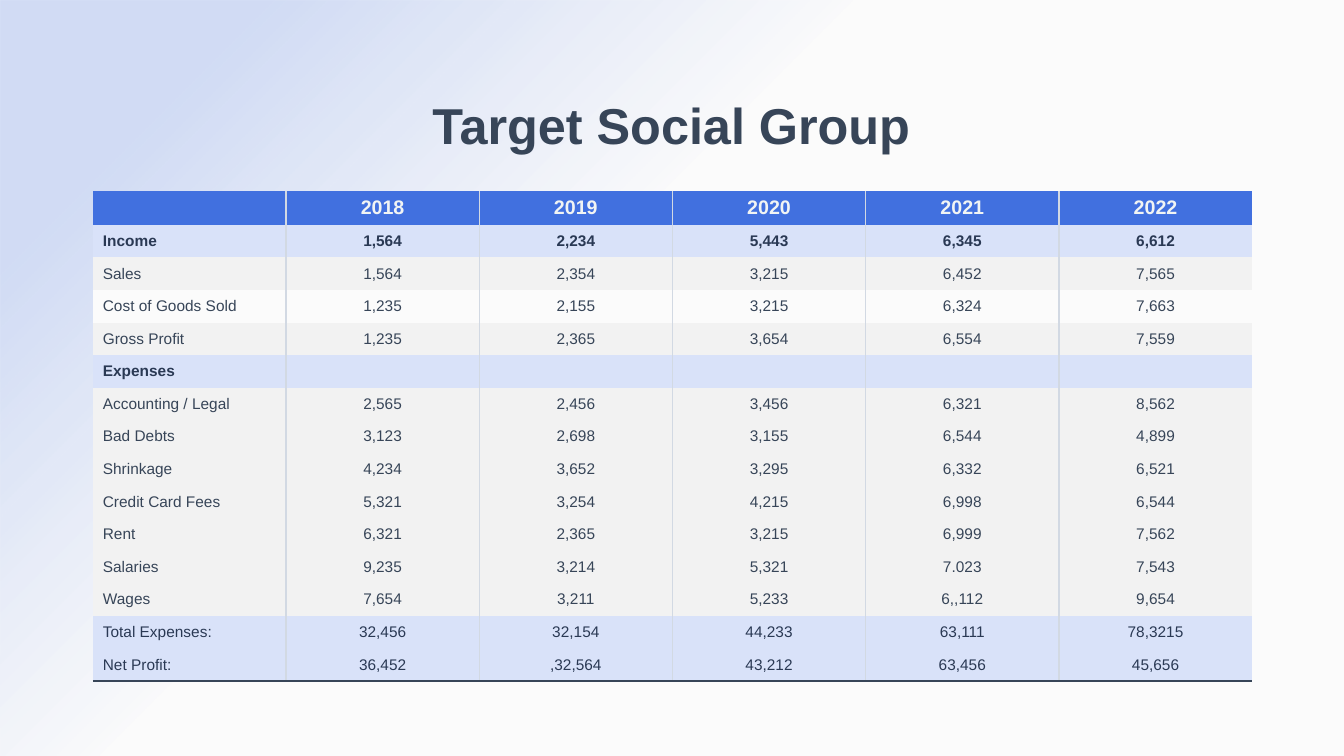
from lxml.etree import SubElement
from pptx import Presentation
from pptx.dml.color import RGBColor
from pptx.enum.shapes import MSO_SHAPE
from pptx.enum.text import MSO_ANCHOR, PP_ALIGN
from pptx.oxml.ns import qn
from pptx.util import Inches, Pt

SLIDE_WIDTH, SLIDE_HEIGHT = 13.33, 7.5
BLUE, PALE_BLUE, GREY, PAPER = "4170DF", "D9E2F9", "F2F2F2", "FBFBFB"
SLATE, NAVY, HEADER_TEXT, RULE = "374558", "2A3954", "F1F4F4", "D2D9E3"

YEARS = ["", "2018", "2019", "2020", "2021", "2022"]
HEADER = (BLUE, HEADER_TEXT, True, 14)
SECTION = (PALE_BLUE, NAVY, True, 11)
DETAIL = (GREY, SLATE, False, 11)
PLAIN = (PAPER, SLATE, False, 11)
TOTAL = (PALE_BLUE, NAVY, False, 11)
ROWS = [
    (HEADER, YEARS),
    (SECTION, ["Income", "1,564", "2,234", "5,443", "6,345", "6,612"]),
    (DETAIL, ["Sales", "1,564", "2,354", "3,215", "6,452", "7,565"]),
    (PLAIN, ["Cost of Goods Sold", "1,235", "2,155", "3,215", "6,324", "7,663"]),
    (DETAIL, ["Gross Profit", "1,235", "2,365", "3,654", "6,554", "7,559"]),
    (SECTION, ["Expenses", "", "", "", "", ""]),
    (DETAIL, ["Accounting / Legal", "2,565", "2,456", "3,456", "6,321", "8,562"]),
    (DETAIL, ["Bad Debts", "3,123", "2,698", "3,155", "6,544", "4,899"]),
    (DETAIL, ["Shrinkage", "4,234", "3,652", "3,295", "6,332", "6,521"]),
    (DETAIL, ["Credit Card Fees", "5,321", "3,254", "4,215", "6,998", "6,544"]),
    (DETAIL, ["Rent", "6,321", "2,365", "3,215", "6,999", "7,562"]),
    (DETAIL, ["Salaries", "9,235", "3,214", "5,321", "7.023", "7,543"]),
    (DETAIL, ["Wages", "7,654", "3,211", "5,233", "6,,112", "9,654"]),
    (TOTAL, ["Total Expenses:", "32,456", "32,154", "44,233", "63,111", "78,3215"]),
    (TOTAL, ["Net Profit:", "36,452", ",32,564", "43,212", "63,456", "45,656"]),
]


def color(hex_value):
    return RGBColor.from_string(hex_value)


def across(share):
    return Inches(SLIDE_WIDTH * share)


def down(share):
    return Inches(SLIDE_HEIGHT * share)


class StyledPage:
    """Holds the font and the current slide; lengths are shares of the slide."""

    def __init__(self, deck, font):
        self.font = font
        self.page = deck.slides.add_slide(deck.slide_layouts[5])

    def background(self, base, tint, stops):
        """Lay a diagonal tint over the base; stops are (position, opacity)."""
        fill = self.page.background.fill
        fill.solid()
        fill.fore_color.rgb = color(base)
        shapes = self.page.shapes
        veil = shapes.add_shape(MSO_SHAPE.RECTANGLE, 0, 0, across(1), down(1))
        veil.shadow.inherit = False
        veil.line.fill.background()
        veil.fill.gradient()
        veil.fill.gradient_angle = 315
        for stop, (position, opacity) in zip(veil.fill.gradient_stops, stops):
            stop.position = position
            stop.color.rgb = color(tint)
            tint_element = stop._gs.find(qn("a:srgbClr"))
            SubElement(tint_element, qn("a:alpha"), val=str(int(opacity * 100000)))
        shapes._spTree.insert(2, veil._element)

    def style(self, paragraph, size, text_color, bold, align):
        paragraph.alignment = align
        for span in paragraph.runs:
            span.font.name = self.font
            span.font.size = Pt(size)
            span.font.bold = bold
            span.font.color.rgb = color(text_color)

    def title(self, text, left, top, width, height):
        box = self.page.shapes.title
        box.left, box.top = across(left), down(top)
        box.width, box.height = across(width), down(height)
        frame = box.text_frame
        frame.text = text
        frame.vertical_anchor = MSO_ANCHOR.MIDDLE
        self.style(frame.paragraphs[0], 36, SLATE, True, PP_ALIGN.CENTER)

    def borders(self, cell, edges):
        """Draw the edges that have a colour and clear the others."""
        properties = cell._tc.get_or_add_tcPr()
        for edge in ("lnL", "lnR", "lnT", "lnB"):
            line = SubElement(properties, qn(f"a:{edge}"), w=str(Pt(1)))
            if edges.get(edge):
                fill = SubElement(line, qn("a:solidFill"))
                SubElement(fill, qn("a:srgbClr"), val=edges[edge])
            else:
                SubElement(line, qn("a:noFill"))

    def table(self, rows, left, top, width, height, header_height):
        last_row, last_column = len(rows) - 1, len(rows[0][1]) - 1
        table = self.page.shapes.add_table(
            last_row + 1, last_column + 1,
            across(left), down(top), across(width), down(height)).table
        for column in table.columns:
            column.width = across(width / (last_column + 1))
        for row in table.rows:
            row.height = down((height - header_height) / last_row)
        table.rows[0].height = down(header_height)

        for r, ((fill, text_color, bold, size), values) in enumerate(rows):
            for c, value in enumerate(values):
                cell = table.cell(r, c)
                cell.text = value
                cell.margin_top = cell.margin_bottom = 0
                cell.vertical_anchor = MSO_ANCHOR.MIDDLE
                align = PP_ALIGN.CENTER if c else PP_ALIGN.LEFT
                self.style(cell.text_frame.paragraphs[0], size, text_color, bold, align)
                self.borders(cell, {
                    "lnL": RULE if c > 0 else None,
                    "lnR": RULE if c < last_column else None,
                    "lnB": SLATE if r == last_row else None,
                })
                cell.fill.solid()
                cell.fill.fore_color.rgb = color(fill)


def main():
    deck = Presentation()
    deck.slide_width, deck.slide_height = across(1), down(1)
    page = StyledPage(deck, "Arial")
    page.background(PAPER, BLUE, [(0.13, 0.22), (0.41, 0)])
    page.title("Target Social Group", 3.05 / SLIDE_WIDTH, 0.88 / SLIDE_HEIGHT,
               7.22 / SLIDE_WIDTH, 0.71 / SLIDE_HEIGHT)
    page.table(ROWS, 0.92 / SLIDE_WIDTH, 1.89 / SLIDE_HEIGHT,
               11.5 / SLIDE_WIDTH, 4.87 / SLIDE_HEIGHT, 0.34 / SLIDE_HEIGHT)
    deck.save("out.pptx")


if __name__ == "__main__":
    main()
